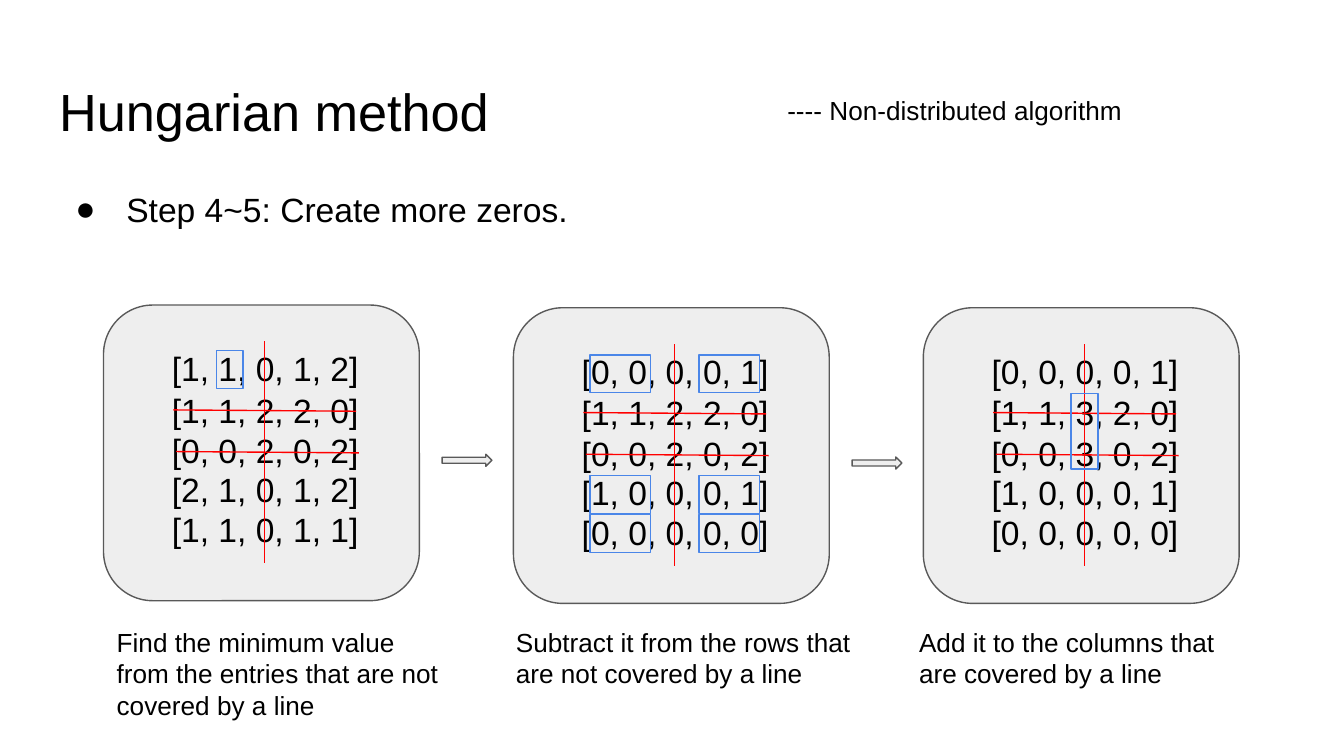
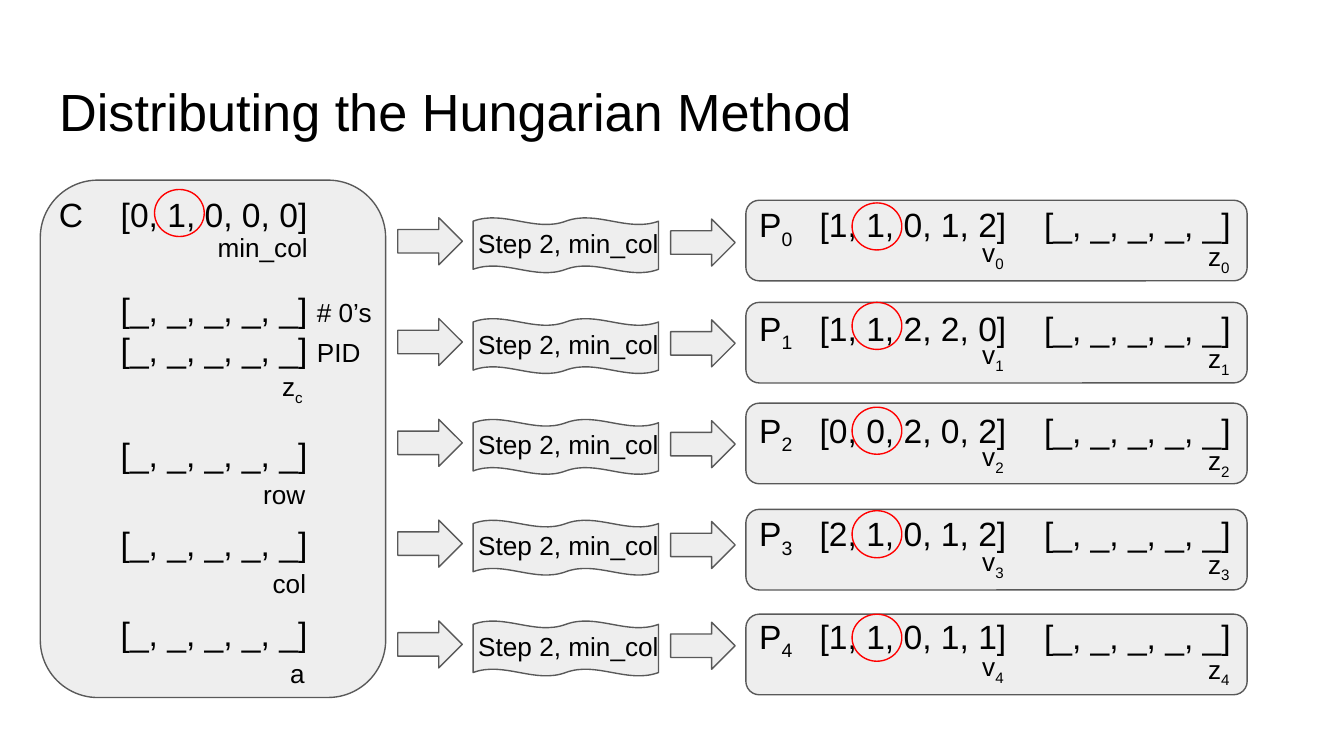
from lxml import etree
from pptx import Presentation
from pptx import util as u
from pptx.dml.color import RGBColor
from pptx.enum import shapes, text
from pptx.oxml.ns import qn

PX = 9144
SLIDE_W, SLIDE_H = u.Emu(9144000), u.Emu(5143500)
FONT = "Arial"
BLACK, GREY, EDGE, RED, BLUE = "000000", "EEEEEE", "595959", "FF0000", "4A86E8"
SHAPE = shapes.MSO_SHAPE
TITLE_BOX = (34, 49, 932, 63)
BODY_BOX = (34, 126, 932, 374)
BLANK_ROW = "[_, _, _, _, _]"

PANELS = [
    dict(at=(77, 227), caption_x=77,
         caption="Find the minimum value from the entries that are not covered by a line",
         rows=["[1, 1, 0, 1, 2]", "[1, 1, 2, 2, 0]", "[0, 0, 2, 0, 2]",
               "[2, 1, 0, 1, 2]", "[1, 1, 0, 1, 1]"],
         marks=[(84, 34, 20, 28)]),
    dict(at=(382, 229), caption_x=374,
         caption="Subtract it from the rows that are not covered by a line",
         rows=["[0, 0, 0, 0, 1]", "[1, 1, 2, 2, 0]", "[0, 0, 2, 0, 2]",
               "[1, 0, 0, 0, 1]", "[0, 0, 0, 0, 0]"],
         marks=[(x, y, 45, 28) for y in (35, 125, 154) for x in (57, 138)]),
    dict(at=(687, 229), caption_x=674,
         caption="Add it to the columns that are covered by a line",
         rows=["[0, 0, 0, 0, 1]", "[1, 1, 3, 2, 0]", "[0, 0, 3, 0, 2]",
               "[1, 0, 0, 0, 1]", "[0, 0, 0, 0, 0]"],
         marks=[(110, 64, 20, 56)]),
]
ROW_GROUPS = [(22, 0, 1, 162), (53, 1, 3, 221), (112, 3, 5, 221)]
COVER_LINES = [(120, 27, 120, 192), (52, 78, 188, 79), (54, 109, 190, 110)]

COORDINATOR = [
    ((34, 134, 244, 43), ["C\t[0, 1, 0, 0, 0]"], 18),
    ((152, 162, 101, 43), ["min_col"], 14),
    ((80, 205, 221, 43), [[(BLANK_ROW + " ", {}), (label, dict(size=14))]
                          for label in ("# 0’s", "PID")], 18),
    ((200, 266, 101, 43), [[("z", {}), ("c", dict(sub=True))]], 14),
    ((80, 313, 244, 43), [BLANK_ROW], 18),
    ((186, 346, 101, 43), ["row"], 14),
    ((80, 379, 244, 43), [BLANK_ROW], 18),
    ((193, 412, 88, 43), ["col"], 14),
    ((80, 446, 244, 43), [BLANK_ROW], 18),
    ((206, 479, 53, 43), ["a"], 14),
]
PROCESSES = [
    dict(values="[1, 1, 0, 1, 2]", box=149, text=142, v=166, z=169, ring=151),
    dict(values="[1, 1, 2, 2, 0]", box=225, text=219, v=242, z=245, ring=225),
    dict(values="[0, 0, 2, 0, 2]", box=300, text=295, v=318, z=321, ring=303),
    dict(values="[2, 1, 0, 1, 2]", box=379, text=372, v=396, z=398, ring=380),
    dict(values="[1, 1, 0, 1, 1]", box=457, text=448, v=474, z=476, ring=457),
]
STEP_TOP, STEP_PITCH = 162, 75


def rgb(value):
    return RGBColor.from_string(value)


def place(sp, box):
    sp.left, sp.top, sp.width, sp.height = (n * PX for n in box)


def write(sp, paras, size=18, tabs=()):
    tf = sp.text_frame
    tf.word_wrap = True
    tf.auto_size = text.MSO_AUTO_SIZE.NONE
    tf.vertical_anchor = text.MSO_ANCHOR.TOP
    tf.margin_left = tf.margin_right = tf.margin_top = tf.margin_bottom = 10 * PX
    for i, para in enumerate(paras):
        p = tf.add_paragraph() if i else tf.paragraphs[0]
        p.alignment = text.PP_ALIGN.LEFT
        if tabs:
            stops = etree.SubElement(p._p.get_or_add_pPr(), qn("a:tabLst"))
            for pos in tabs:
                etree.SubElement(stops, qn("a:tab"), pos=str(pos * PX), algn="l")
        for words, fmt in [(para, {})] if isinstance(para, str) else para:
            r = p.add_run()
            r.text = words
            r.font.name = FONT
            r.font.size = u.Pt(fmt.get("size", size))
            r.font.color.rgb = rgb(BLACK)
            if fmt.get("sub"):
                r._r.get_or_add_rPr().set("baseline", "-25000")
    return tf


def add_text(s, box, paras, **fmt):
    return write(s.shapes.add_textbox(*(n * PX for n in box)), paras, **fmt)


def add_shape(s, kind, box, fill=GREY, line=EDGE):
    sp = s.shapes.add_shape(kind, *(n * PX for n in box))
    sp.shadow.inherit = False
    if fill:
        sp.fill.solid()
        sp.fill.fore_color.rgb = rgb(fill)
    else:
        sp.fill.background()
    sp.line.color.rgb = rgb(line)
    sp.line.width = u.Pt(0.75)
    return sp


def add_line(s, x1, y1, x2, y2):
    c = s.shapes.add_connector(shapes.MSO_CONNECTOR.STRAIGHT,
                               *(n * PX for n in (x1, y1, x2, y2)))
    c.line.color.rgb = rgb(RED)
    c.line.width = u.Pt(0.75)
    etree.SubElement(c._element.spPr, qn("a:effectLst"))


def add_slide(prs, layout, title):
    s = prs.slides.add_slide(prs.slide_layouts[layout])
    place(s.shapes.title, TITLE_BOX)
    write(s.shapes.title, [title], size=28)
    return s


def add_bullet(s, words):
    body = s.placeholders[1]
    place(body, BODY_BOX)
    p = write(body, [words]).paragraphs[0]
    p.line_spacing = 1.15
    p.space_before, p.space_after = u.Pt(0), u.Pt(16)
    pPr = p._p.get_or_add_pPr()
    pPr.set("marL", str(50 * PX))
    pPr.set("indent", str(-38 * PX))
    clr = etree.SubElement(pPr, qn("a:buClr"))
    etree.SubElement(clr, qn("a:srgbClr"), val=BLACK)
    etree.SubElement(pPr, qn("a:buFont"), typeface=FONT)
    etree.SubElement(pPr, qn("a:buChar"), char="●")


def build_zeros_slide(prs):
    s = add_slide(prs, 1, "Hungarian method")
    add_bullet(s, "Step 4~5: Create more zeros.")
    add_text(s, (576, 60, 270, 51), ["---- Non-distributed algorithm"], size=14)
    for i, panel in enumerate(PANELS):
        x, y = panel["at"]
        add_shape(s, SHAPE.ROUNDED_RECTANGLE, (x, y, 235, 220))
        for dy, first, last, w in ROW_GROUPS:
            add_text(s, (x + 41, y + dy, w, 43), panel["rows"][first:last])
        for x1, y1, x2, y2 in COVER_LINES:
            add_line(s, x + x1, y + y1, x + x2, y + y2)
        for dx, dy, w, h in panel["marks"]:
            add_shape(s, SHAPE.RECTANGLE, (x + dx, y + dy, w, h), fill=None, line=BLUE)
        add_text(s, (panel["caption_x"], 456, 270, 43), [panel["caption"]], size=14)
        if i < len(PANELS) - 1:
            add_shape(s, SHAPE.RIGHT_ARROW, (x + 252, y + 111, 37, 9))


def add_ring(s, x, y):
    add_shape(s, SHAPE.OVAL, (x, y, 37, 35), fill=None, line=RED)


def build_distributed_slide(prs):
    s = add_slide(prs, 5, "Distributing the Hungarian Method")
    add_shape(s, SHAPE.ROUNDED_RECTANGLE, (30, 134, 257, 385))
    for box, paras, size in COORDINATOR:
        add_text(s, box, paras, size=size, tabs=(46,) if "\t" in paras[0] else ())
    add_ring(s, 115, 141)
    for i, proc in enumerate(PROCESSES):
        y = STEP_TOP + i * STEP_PITCH
        add_shape(s, SHAPE.RIGHT_ARROW, (296, y, 48, 35))
        add_shape(s, SHAPE.DOUBLE_WAVE, (352, y, 138, 41))
        add_text(s, (346, y - 3, 165, 43), ["Step 2, min_col"], size=14)
        add_shape(s, SHAPE.RIGHT_ARROW, (499, y + 1, 48, 35))

        index = (str(i), dict(sub=True))
        add_shape(s, SHAPE.ROUNDED_RECTANGLE, (555, proc["box"], 373, 60))
        vectors = (f"\t{proc['values']}\t{BLANK_ROW}", {})
        add_text(s, (555, proc["text"], 411, 43), [[("P", {}), index, vectors]],
                 tabs=(45, 212))
        for name, x in (("v", 721), ("z", 889)):
            add_text(s, (x, proc[name], 101, 43), [[(name, {}), index]], size=14)
        add_ring(s, 634, proc["ring"])


def main():
    prs = Presentation()
    prs.slide_width, prs.slide_height = SLIDE_W, SLIDE_H
    build_zeros_slide(prs)
    build_distributed_slide(prs)
    prs.save("out.pptx")


if __name__ == "__main__":
    main()
